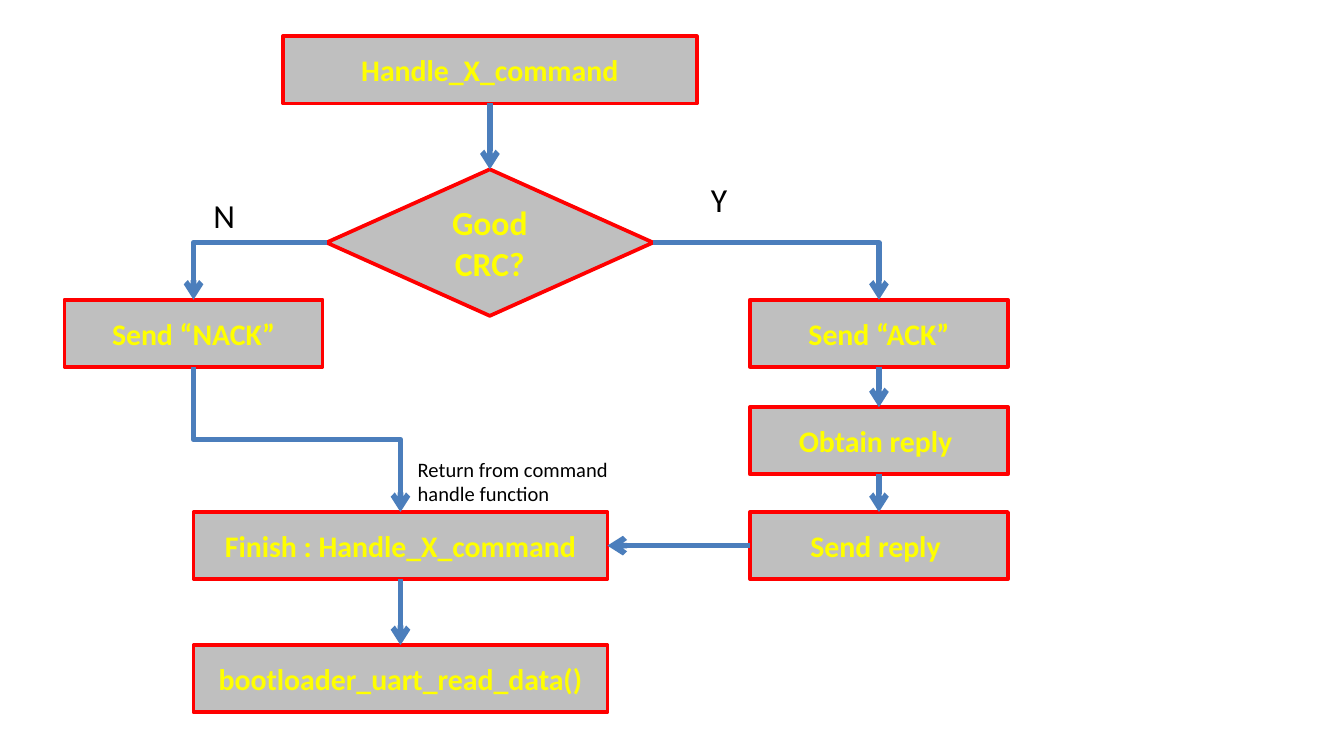
from pptx import Presentation
from pptx.dml.color import RGBColor
from pptx.enum.shapes import MSO_CONNECTOR, MSO_SHAPE
from pptx.enum.text import MSO_ANCHOR, MSO_AUTO_SIZE, PP_ALIGN
from pptx.oxml.ns import qn
from pptx.util import Inches, Pt
from lxml.etree import SubElement

TOP, LEFT, BOTTOM, RIGHT = range(4)


def rgb(value):
    return RGBColor.from_string(value)


def write(frame, text, size=16, color="000000", bold=False, align=PP_ALIGN.LEFT):
    for index, line in enumerate(text.split("\n")):
        paragraph = frame.add_paragraph() if index else frame.paragraphs[0]
        paragraph.alignment = align
        run = paragraph.add_run()
        run.text = line
        run.font.name = "Calibri"
        run.font.size = Pt(size)
        run.font.bold = bold
        run.font.color.rgb = rgb(color)


class Flowchart:
    fill = "BFBFBF"
    outline = "FF0000"
    text_color = "FFFF00"
    arrow_color = "4B7EBC"

    def __init__(self, slide):
        self.shapes = slide.shapes

    def step(self, text, left, top, width, height=0.5, kind=MSO_SHAPE.RECTANGLE, size=16):
        shape = self.shapes.add_shape(
            kind, Inches(left), Inches(top), Inches(width), Inches(height))
        shape.shadow.inherit = False
        shape.fill.solid()
        shape.fill.fore_color.rgb = rgb(self.fill)
        shape.line.color.rgb = rgb(self.outline)
        shape.line.width = Pt(2)
        frame = shape.text_frame
        frame.word_wrap = True
        frame.vertical_anchor = MSO_ANCHOR.MIDDLE
        write(frame, text, size=size, color=self.text_color, bold=True,
              align=PP_ALIGN.CENTER)
        return shape

    def arrow(self, start, start_site, end, end_site, kind=MSO_CONNECTOR.STRAIGHT):
        connector = self.shapes.add_connector(kind, 0, 0, 0, 0)
        connector.begin_connect(start, start_site)
        connector.end_connect(end, end_site)
        connector.line.color.rgb = rgb(self.arrow_color)
        connector.line.width = Pt(3)
        properties = connector._element.spPr
        SubElement(properties.find(qn("a:ln")), qn("a:tailEnd"), type="arrow")
        SubElement(properties, qn("a:effectLst"))
        return connector

    def corner(self, start, start_site, end):
        connector = self.arrow(start, start_site, end, TOP, MSO_CONNECTOR.ELBOW)
        geometry = connector._element.spPr.find(qn("a:prstGeom"))
        geometry.set("prst", "bentConnector2")

    def drop(self, start, end):
        connector = self.arrow(start, BOTTOM, end, TOP, MSO_CONNECTOR.ELBOW)
        across, down = connector.width, connector.height
        connector.left += (across - down) // 2
        connector.top += (down - across) // 2
        connector.width, connector.height = down, across
        frame = connector._element.spPr.find(qn("a:xfrm"))
        frame.set("rot", str(270 * 60000))
        frame.set("flipH", "1")

    def label(self, text, left, top, width, height, size=18):
        box = self.shapes.add_textbox(
            Inches(left), Inches(top), Inches(width), Inches(height))
        frame = box.text_frame
        frame.word_wrap = False
        frame.auto_size = MSO_AUTO_SIZE.SHAPE_TO_FIT_TEXT
        write(frame, text, size=size)


def main():
    deck = Presentation()
    deck.slide_width = Inches(10)
    deck.slide_height = deck.slide_width * 9 // 16
    chart = Flowchart(deck.slides.add_slide(deck.slide_layouts[6]))

    wide, narrow, diamond = 3.08, 1.92, 2.43
    crc_left, finish_left, reply_left = 2.43, 1.44, 5.58
    branch_top, finish_top = 2.23, 3.81

    command = chart.step("Handle_X_command", crc_left + (diamond - wide) / 2, 0.27, wide)
    crc_check = chart.step("Good CRC?", crc_left, 1.26, diamond, 1.09,
                           kind=MSO_SHAPE.DIAMOND, size=18)
    nack = chart.step("Send “NACK”", 0.48, branch_top, narrow)
    ack = chart.step("Send “ACK”", reply_left, branch_top, narrow)
    obtain = chart.step("Obtain reply ", reply_left, 3.03, narrow)
    send = chart.step("Send reply ", reply_left, finish_top, narrow)
    finish = chart.step("Finish : Handle_X_command", finish_left, finish_top, wide)
    read_data = chart.step("bootloader_uart_read_data()", finish_left, 4.8, wide)

    for upper, lower in ((command, crc_check), (ack, obtain), (obtain, send),
                         (finish, read_data)):
        chart.arrow(upper, BOTTOM, lower, TOP)
    chart.arrow(send, LEFT, finish, RIGHT)
    chart.corner(crc_check, RIGHT, ack)
    chart.corner(crc_check, LEFT, nack)
    chart.drop(nack, finish)

    chart.label("N", 1.49, 1.4, 0.36, 0.4)
    chart.label("Y", 5.19, 1.28, 0.32, 0.4)
    chart.label("Return from command\nhandle function", 3.01, 3.35, 1.67, 0.47, size=11)

    deck.save("out.pptx")


if __name__ == "__main__":
    main()
